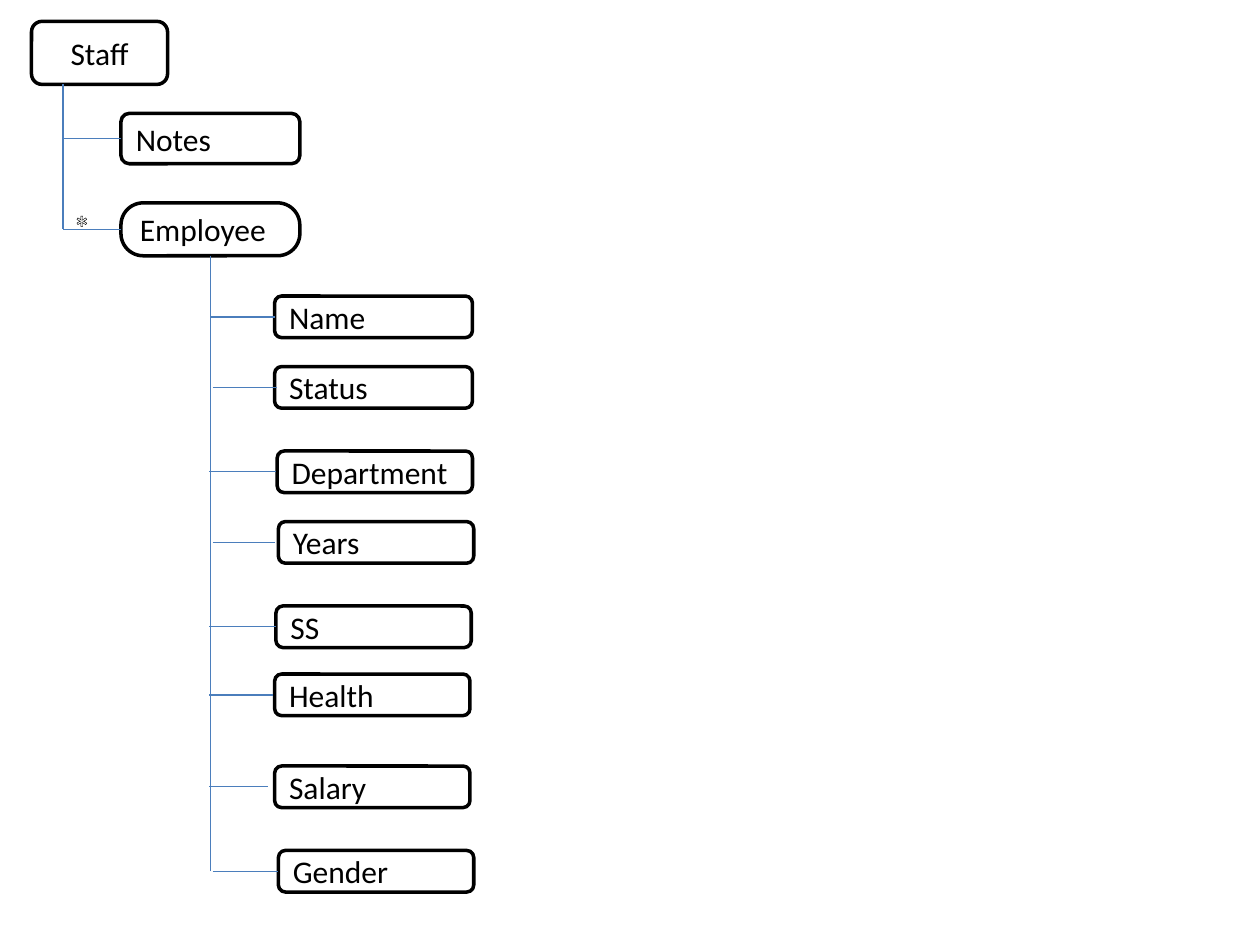
from lxml.etree import SubElement
from pptx import Presentation
from pptx.dml.color import RGBColor
from pptx.enum.shapes import MSO_CONNECTOR as Connector, MSO_SHAPE as Shape
from pptx.enum.text import MSO_ANCHOR as Anchor, PP_ALIGN as Align
from pptx.oxml import parse_xml
from pptx.oxml.ns import nsdecls, qn
from pptx.util import Inches, Pt

INK, PAPER, BRANCH = "000000", "FFFFFF", "4B7EBC"
STAFF = (0.25, 0.17, 1.08, 0.5)
NOTES = (0.96, 0.9, 1.42, 0.4)
EMPLOYEE = (0.96, 1.61, 1.42, 0.42)
FIELD_HEIGHT = 0.33
FIELDS = [
    ("Name", 2.18, 2.35, 1.57, 1.67, 2.18),
    ("Status", 2.18, 2.91, 1.57, 1.69, 2.2),
    ("Department", 2.2, 3.58, 1.55, 1.66, 2.19),
    ("Years", 2.21, 4.14, 1.55, 1.69, 2.18),
    ("SS", 2.19, 4.81, 1.55, 1.66, 2.19),
    ("Health", 2.18, 5.35, 1.55, 1.66, 2.17),
    ("Salary", 2.18, 6.08, 1.55, 1.66, 2.13),
    ("Gender", 2.21, 6.75, 1.55, 1.69, 2.21),
]


def color(value):
    """Turn a hex string into a colour."""
    return RGBColor.from_string(value)


def write(shape, text, align, ink):
    """Put one line of text in the middle of a shape."""
    frame = shape.text_frame
    frame.word_wrap = True
    frame.vertical_anchor = Anchor.MIDDLE
    paragraph = frame.paragraphs[0]
    paragraph.text = text
    paragraph.alignment = align
    paragraph.font.name = "Calibri"
    paragraph.font.size = Pt(18)
    paragraph.font.color.rgb = color(ink)
    return paragraph


def add_node(slide, box, text, align=Align.LEFT, rounding=None):
    """Draw a rounded, labelled node of the tree."""
    shape = slide.shapes.add_shape(Shape.ROUNDED_RECTANGLE, *map(Inches, box))
    shape.shadow.inherit = False
    shape.fill.solid()
    shape.fill.fore_color.rgb = color(PAPER)
    shape.line.color.rgb = color(INK)
    shape.line.width = Pt(2)
    if rounding:
        shape.adjustments[0] = rounding
    write(shape, text, align, INK)


def add_branch(slide, *ends):
    """Draw a thin line between two points."""
    line = slide.shapes.add_connector(Connector.STRAIGHT, *map(Inches, ends))
    line.line.color.rgb = color(BRANCH)
    line.line.width = Pt(0.75)
    SubElement(line._element.spPr, qn("a:effectLst"))


def add_repeat_mark(slide, box):
    """Draw the outlined asterisk that marks a repeated node."""
    shape = slide.shapes.add_shape(Shape.OVAL, *map(Inches, box))
    shape.shadow.inherit = False
    shape.fill.background()
    shape.line.fill.background()
    paragraph = write(shape, "*", Align.CENTER, PAPER)
    font = paragraph.runs[0].font
    font.bold = True
    font.color.rgb = color(PAPER)
    outline = parse_xml(
        f'<a:ln {nsdecls("a")} w="{Pt(0.75)}"><a:solidFill>'
        f'<a:srgbClr val="{INK}"/></a:solidFill></a:ln>')
    paragraph.runs[0]._r.get_or_add_rPr().insert(0, outline)


def add_staff(slide, box):
    """Draw the root with its two children."""
    left, top, _, height = box
    trunk = left + 0.25
    add_node(slide, box, "Staff", Align.CENTER)
    add_node(slide, NOTES, "Notes")
    add_node(slide, EMPLOYEE, "Employee", rounding=0.42)
    start = top + height
    for child in (NOTES, EMPLOYEE):
        middle = child[1] + child[3] / 2
        add_branch(slide, trunk, start, trunk, middle)
        add_branch(slide, trunk, middle, child[0], middle)
        start = middle
    add_repeat_mark(slide, (trunk - 0.08, EMPLOYEE[1] - 0.05, 0.46, 0.47))


def add_fields(slide, box):
    """Draw the employee fields on a trunk below the given box."""
    left, top, width, height = box
    trunk = left + width / 2
    for name, x, y, field_width, start, end in FIELDS:
        middle = y + FIELD_HEIGHT / 2
        add_node(slide, (x, y, field_width, FIELD_HEIGHT), name)
        add_branch(slide, start, middle, end, middle)
    add_branch(slide, trunk, top + height, trunk, middle)


presentation = Presentation()
presentation.slide_width = Inches(10)
presentation.slide_height = Inches(7.5)
slide = presentation.slides.add_slide(presentation.slide_layouts[6])
add_staff(slide, STAFF)
add_fields(slide, EMPLOYEE)
presentation.save("out.pptx")
